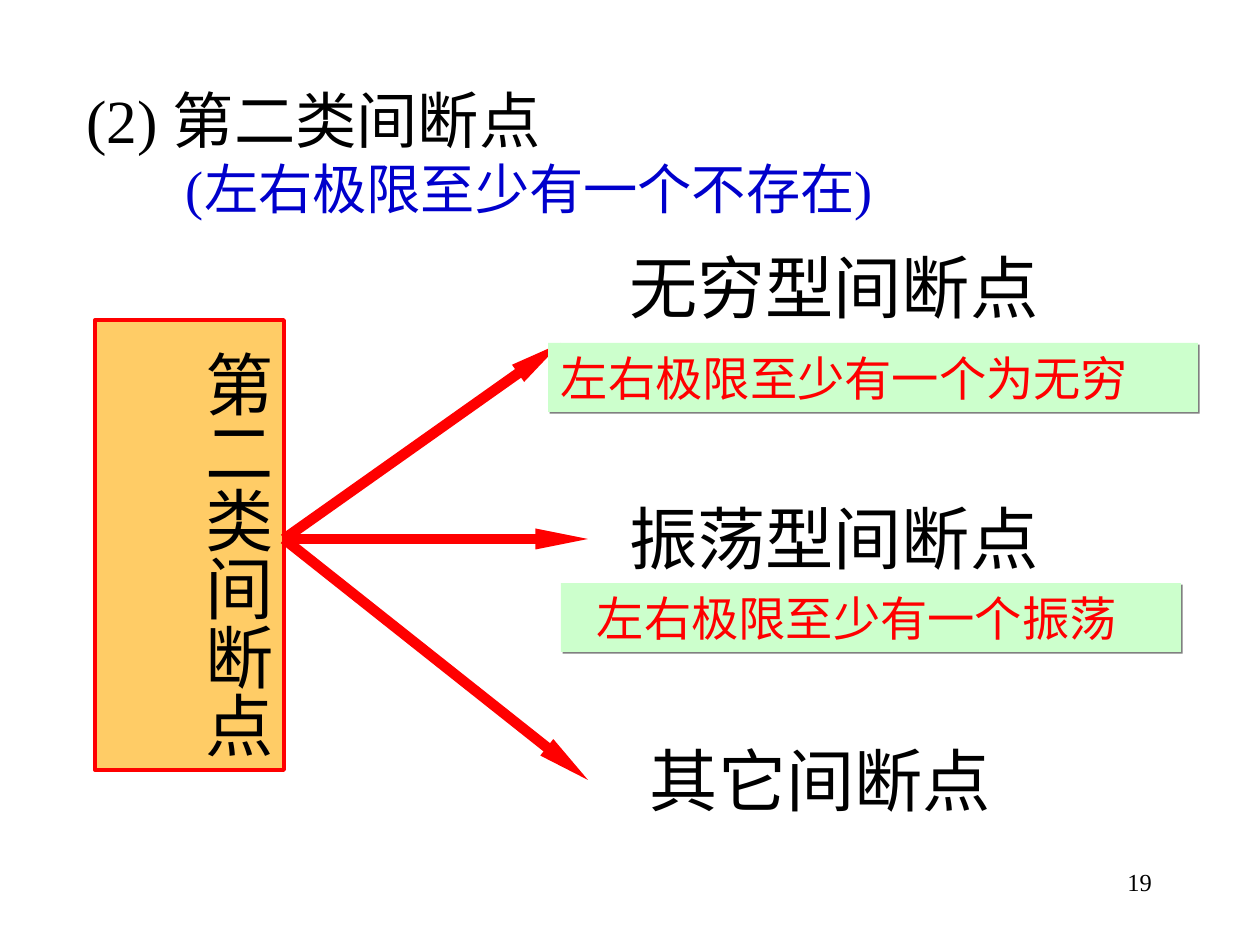
from lxml.etree import SubElement
from pptx import Presentation
from pptx.dml.color import RGBColor
from pptx.enum.shapes import MSO_CONNECTOR, MSO_SHAPE
from pptx.enum.text import MSO_ANCHOR, MSO_AUTO_SIZE, PP_ALIGN
from pptx.oxml.ns import qn
from pptx.util import Emu, Pt

LATIN, CJK = "Times New Roman", "Noto Sans CJK SC"
BLACK, BLUE, RED = "000000", "0000CC", "FF0000"
WHITE, GREEN, ORANGE, GREY = "FFFFFF", "CCFFCC", "FFCC66", "808080"

# Content: text, box (left, top, width, height in px)
TITLE = [("(2) ", LATIN), ("第二类间断点", CJK)]
TITLE_BOX = (73, 76, 861, 86)
SUBTITLE = ("(左右极限至少有一个不存在)", (173, 149, 726, 142))
ROOT = ("第二类间断点", (95, 320, 189, 450))
KINDS = [
    ("无穷型间断点", (599, 239, 473, 176)),
    ("振荡型间断点", (599, 490, 473, 176)),
    ("其它间断点", (620, 732, 410, 95)),
]
NOTES = [  # with left inset
    ("左右极限至少有一个为无穷", (548, 343, 650, 69), 13),
    ("左右极限至少有一个振荡", (561, 583, 620, 69), 36),
]
ARROW_START = (284, 539)
ARROW_ENDS = [(561, 343), (588, 539), (588, 780)]
PAGE = ("19", (903, 861, 262, 63))


def px(n):
    return Emu(round(n * 914400 / 126))


def rgb(value):
    return RGBColor.from_string(value)


def set_font(font, size, color, name=LATIN):
    font.size, font.name = Pt(size), name
    font.color.rgb = rgb(color)


def set_frame(tf, insets):
    tf.word_wrap = True
    tf.auto_size = MSO_AUTO_SIZE.NONE
    tf.vertical_anchor = MSO_ANCHOR.TOP
    tf.margin_left, tf.margin_top, tf.margin_right, tf.margin_bottom = map(px, insets)


def write(sp, text, size, color, left=13, insets=None, align=PP_ALIGN.LEFT):
    tf = sp.text_frame
    set_frame(tf, insets or (left, 6, 13, 6))
    p = tf.paragraphs[0]
    p.text, p.alignment = text, align
    set_font(p.font, size, color)
    return tf


def add_text(s, box):
    return s.shapes.add_textbox(*map(px, box))


def add_rect(s, box, fill, line=None):
    sp = s.shapes.add_shape(MSO_SHAPE.RECTANGLE, *map(px, box))
    sp.shadow.inherit = False
    sp.fill.solid()
    sp.fill.fore_color.rgb = rgb(fill)
    if line:
        sp.line.color.rgb = rgb(line)
        sp.line.width = Pt(2.25)
    else:
        sp.line.fill.background()
    return sp


def add_shadow(sp):
    effects = sp._element.spPr.find(qn("a:effectLst"))
    shadow = SubElement(effects, qn("a:outerShdw"), dist=str(Pt(1.4)),
                        dir="2700000", algn="ctr", rotWithShape="0")
    SubElement(shadow, qn("a:srgbClr"), val=GREY)


def add_arrow(s, start, end):
    line = s.shapes.add_connector(MSO_CONNECTOR.STRAIGHT, *map(px, start + end))
    line.line.color.rgb = rgb(RED)
    line.line.width = Pt(6)
    SubElement(line.line._get_or_add_ln(), qn("a:tailEnd"),
               type="triangle", w="sm", len="lg")
    SubElement(line._element.spPr, qn("a:effectLst"))


prs = Presentation()
prs.slide_width, prs.slide_height = px(1260), px(945)
s = prs.slides.add_slide(prs.slide_layouts[5])

# Title and subtitle
title = s.shapes.title
title.left, title.top, title.width, title.height = map(px, TITLE_BOX)
set_frame(title.text_frame, (13, 6, 13, 6))
p = title.text_frame.paragraphs[0]
p.alignment = PP_ALIGN.LEFT
for text, name in TITLE:
    r = p.add_run()
    r.text = text
    set_font(r.font, 35, BLACK, name)
text, box = SUBTITLE
write(add_text(s, box), text, 31, BLUE)

# Kinds of discontinuity
for text, box in KINDS:
    write(add_rect(s, box, WHITE), text, 39, BLACK, left=30)

# Vertical root box
text, box = ROOT
tf = write(add_rect(s, box, ORANGE, RED), text, 39, BLACK, insets=(6, 30, 6, 0))
tf._txBody.bodyPr.set("vert", "eaVert")

# Arrows from the root to each kind
for end in ARROW_ENDS:
    add_arrow(s, ARROW_START, end)

# Green explanations
for text, box, left in NOTES:
    sp = add_rect(s, box, GREEN)
    add_shadow(sp)
    write(sp, text, 27, RED, left=left)

# Page number
text, box = PAGE
write(add_text(s, box), text, 14, BLACK, align=PP_ALIGN.RIGHT)

prs.save("out.pptx")
